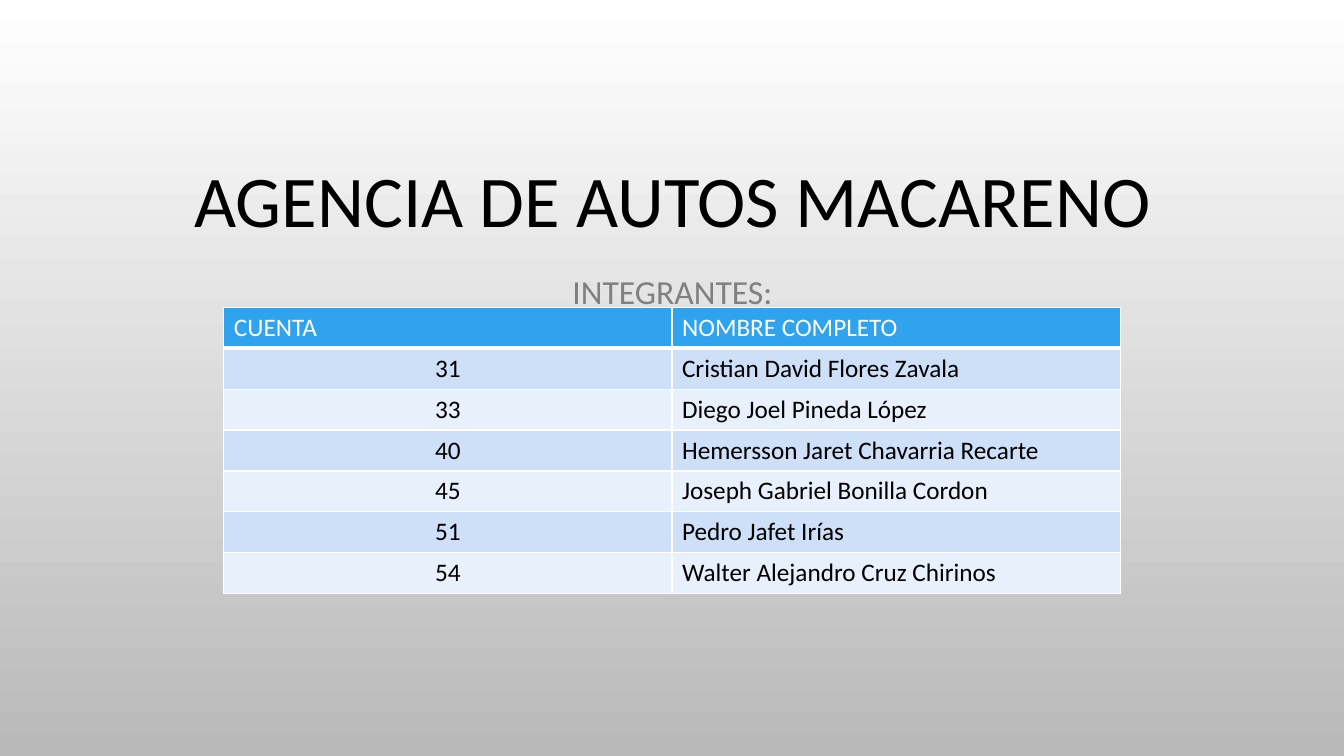
from lxml.etree import SubElement
from pptx import Presentation
from pptx.dml.color import RGBColor
from pptx.enum.text import MSO_ANCHOR, PP_ALIGN
from pptx.oxml.ns import qn
from pptx.util import Inches, Pt

FONT = "Calibri"
COLORS = {
    "top": "FFFFFF", "bottom": "B9B9B9", "title": "000000",
    "subtitle": "808080", "header": "2FA3EE", "header_text": "FFFFFF",
    "odd_row": "CDE0F8", "even_row": "E8F0FC", "body_text": "000000",
    "border": "FFFFFF",
}
HEADINGS = ("CUENTA", "NOMBRE COMPLETO")
MEMBERS = [
    ("31", "Cristian David Flores Zavala"),
    ("33", "Diego Joel Pineda López"),
    ("40", "Hemersson Jaret Chavarria Recarte"),
    ("45", "Joseph Gabriel Bonilla Cordon"),
    ("51", "Pedro Jafet Irías"),
    ("54", "Walter Alejandro Cruz Chirinos"),
]


def color(name):
    return RGBColor.from_string(COLORS[name])


def style(paragraph, size, color_name, align):
    paragraph.font.name = FONT
    paragraph.font.size = Pt(size)
    paragraph.font.color.rgb = color(color_name)
    paragraph.alignment = align


def paint_background(slide):
    fill = slide.background.fill
    fill.gradient()
    fill.gradient_angle = 270  # counter-clockwise: top to bottom
    for stop, name in zip(fill.gradient_stops, ("top", "bottom")):
        stop.color.rgb = color(name)


def place_title(slide, left, top, width, height):
    title = slide.shapes.title
    title.left, title.top = Inches(left), Inches(top)
    title.width, title.height = Inches(width), Inches(height)
    frame = title.text_frame
    frame.text = "AGENCIA DE AUTOS MACARENO"
    frame.word_wrap = True
    frame.vertical_anchor = MSO_ANCHOR.BOTTOM
    heading = frame.paragraphs[0]
    style(heading, 52, "title", PP_ALIGN.CENTER)
    heading.line_spacing = 0.9


def place_subtitle(slide, left, top, width, height):
    subtitle = slide.shapes.add_textbox(
        Inches(left), Inches(top), Inches(width), Inches(height))
    frame = subtitle.text_frame
    frame.text = "INTEGRANTES:"
    frame.word_wrap = True
    label = frame.paragraphs[0]
    style(label, 24, "subtitle", PP_ALIGN.CENTER)
    label.line_spacing = 1.2
    label.space_before = Pt(10)


def add_borders(cell, bottom_width):
    properties = cell._tc.get_or_add_tcPr()
    for side, width in (("L", 1), ("R", 1), ("T", 1), ("B", bottom_width)):
        line = SubElement(properties, qn(f"a:ln{side}"), w=str(Pt(width)))
        fill = SubElement(line, qn("a:solidFill"))
        SubElement(fill, qn("a:srgbClr"), val=COLORS["border"])


def place_members(slide, left, top, width, height):
    rows = [HEADINGS, *MEMBERS]
    members = slide.shapes.add_table(
        len(rows), len(HEADINGS), Inches(left), Inches(top),
        Inches(width), Inches(height)).table
    for r, row in enumerate(rows):
        is_header = r == 0
        if is_header:
            fill_name, text_name = "header", "header_text"
        else:
            fill_name = "odd_row" if r % 2 else "even_row"
            text_name = "body_text"
        for c, text in enumerate(row):
            cell = members.cell(r, c)
            cell.text = text
            centred = c == 0 and not is_header
            entry = cell.text_frame.paragraphs[0]
            style(entry, 18, text_name,
                  PP_ALIGN.CENTER if centred else PP_ALIGN.LEFT)
            entry.font.bold = False
            # Borders come before the fill in the cell properties
            add_borders(cell, 3 if is_header else 1)
            cell.fill.solid()
            cell.fill.fore_color.rgb = color(fill_name)


def main():
    presentation = Presentation()
    presentation.slide_width = Inches(13.33)
    presentation.slide_height = Inches(7.5)
    slide = presentation.slides.add_slide(presentation.slide_layouts[5])
    paint_background(slide)
    place_title(slide, 1.67, -0.15, 10, 2.61)
    place_subtitle(slide, 1.67, 2.56, 10, 1.81)
    place_members(slide, 2.22, 3.05, 8.89, 2.84)
    presentation.save("out.pptx")


if __name__ == "__main__":
    main()
